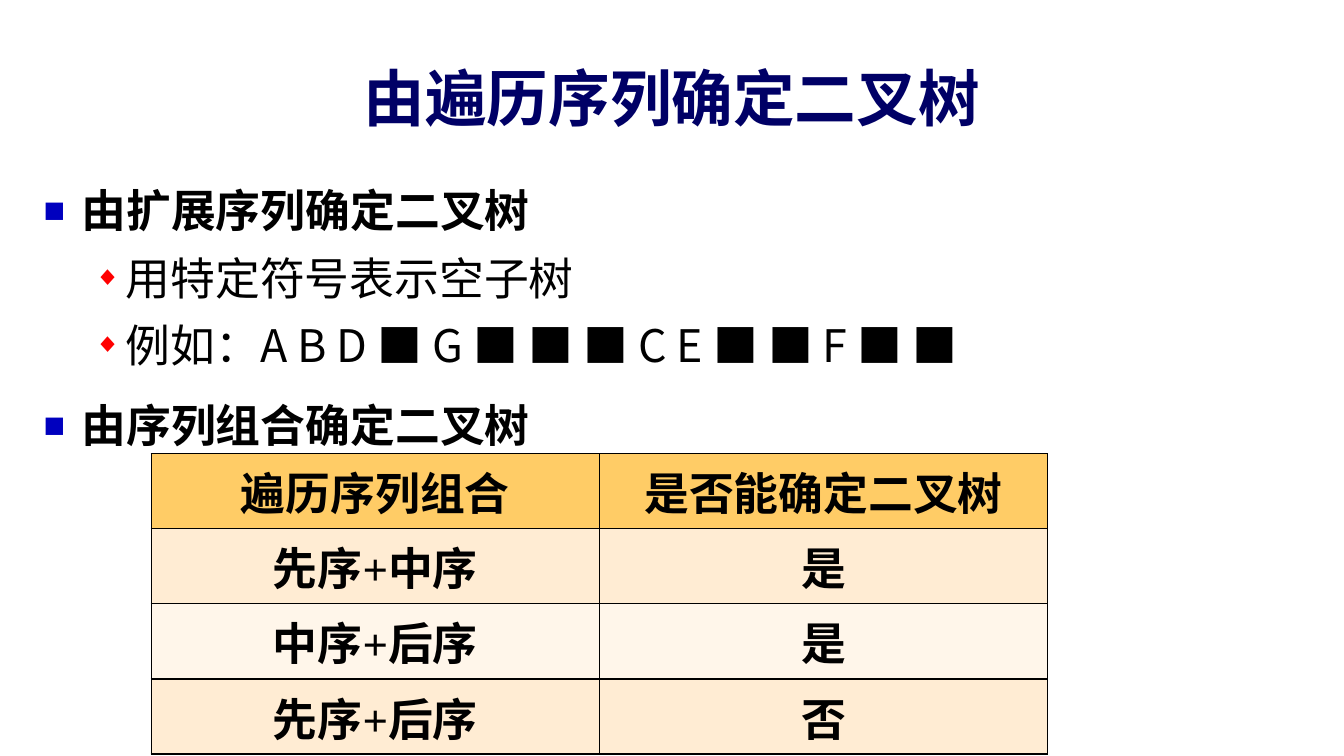
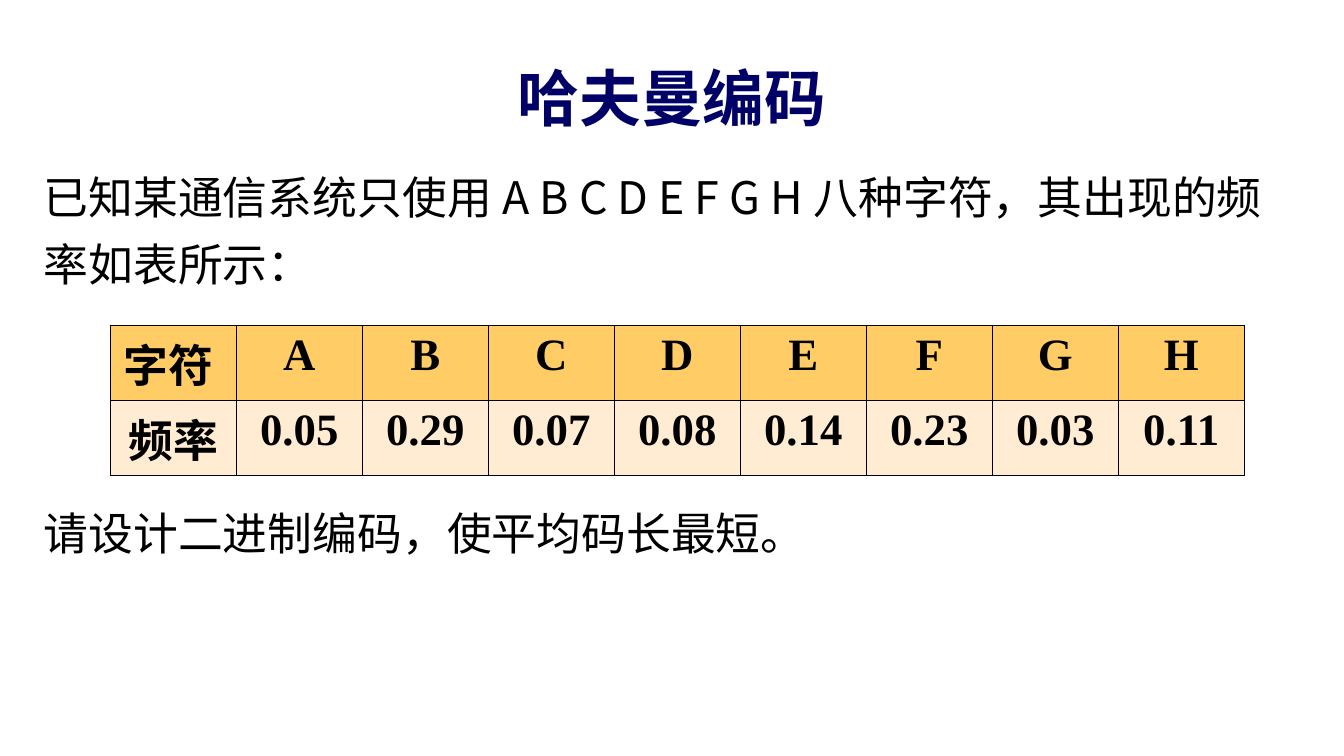
from dataclasses import dataclass

from lxml import etree
from pptx import Presentation
from pptx.dml.color import RGBColor
from pptx.enum.text import MSO_ANCHOR, MSO_AUTO_SIZE, PP_ALIGN
from pptx.oxml.ns import qn
from pptx.util import Emu, Pt

LEFT, MID = PP_ALIGN.LEFT, PP_ALIGN.CENTER
TOP, CORE = MSO_ANCHOR.TOP, MSO_ANCHOR.MIDDLE
FIXED = MSO_AUTO_SIZE.NONE
PX = 9525
SIDES = ("lnL", "lnR", "lnT", "lnB")


@dataclass(frozen=True)
class Theme:
    """Colours, fonts and type sizes of the deck."""
    navy: str = "000066"
    ink: str = "000000"
    head: str = "FFCC66"
    bands: tuple = ("FFECD3", "FFF6EA")
    sans: str = "Noto Sans CJK SC"
    serif: str = "Times New Roman"
    big: int = 44
    text: int = 32
    rule: int = 12700


@dataclass(frozen=True)
class Level:
    """Spacing, indent in px and bullet of one list level."""
    depth: int = 0
    space: float = 1.25
    left: int = 0
    hang: int = 0
    mark: str = ""
    tint: str = ""
    size: int = 100
    bold: bool = False


PLAIN = Level()
MAIN = Level(0, 1.5, 36, 36, "■", "0000BF", 80, True)
SUB = Level(1, 1.25, 78, 30, "◆", "FF0000", 60)


def px(size):
    """Turn px into EMU."""
    return Emu(size * PX)


def put(item, form):
    """Set attributes from a dict of format values."""
    for name, value in form.items():
        setattr(item, name, value)


def node(root, tag, **attrs):
    """Append a drawing element and return it."""
    part = etree.SubElement(root, qn("a:" + tag))
    for name, value in attrs.items():
        part.set(name, str(value))
    return part


class Deck:
    """Style and current slide, with a method for each kind of element."""

    def __init__(self, theme):
        """Start an empty wide deck."""
        self.theme = theme
        self.show = Presentation()
        put(self.show, {"slide_width": px(1280), "slide_height": px(720)})
        self.slide = None

    def letter(self, para, text, size, font, color, bold):
        """Add one formatted run to a paragraph."""
        run = para.add_run()
        run.text = text
        put(run.font, {"size": Pt(size), "bold": bold, "name": font})
        run.font.color.rgb = RGBColor.from_string(color)
        node(run.font._element, "ea", typeface=self.theme.sans)

    def place(self, shape, box, anchor):
        """Move a placeholder and return its text frame."""
        put(shape, dict(zip(("left", "top", "width", "height"), map(px, box))))
        frame = shape.text_frame
        put(frame, {"word_wrap": True, "auto_size": FIXED,
                    "vertical_anchor": anchor})
        return frame

    def page(self, title):
        """Open a slide with its title."""
        look = self.theme
        self.slide = self.show.slides.add_slide(self.show.slide_layouts[1])
        frame = self.place(self.slide.shapes.title, (96, 56, 1088, 72), CORE)
        para = frame.paragraphs[0]
        para.alignment = MID
        self.letter(para, title, look.big, look.sans, look.navy, True)

    def body(self, items):
        """Fill the body from text, level and space before."""
        look = self.theme
        box = (32, 144, 1216, 544)
        frame = self.place(self.slide.placeholders[1], box, TOP)
        for spot, (text, level, gap) in enumerate(items):
            para = frame.add_paragraph() if spot else frame.paragraphs[0]
            put(para, {"level": level.depth, "alignment": LEFT,
                       "line_spacing": level.space, "space_before": Pt(gap)})
            self.mark(para, level)
            self.letter(para, text, look.text, look.sans, look.ink, level.bold)

    def mark(self, para, level):
        """Give a paragraph its indent and bullet."""
        props = para._p.get_or_add_pPr()
        props.set("marL", str(px(level.left)))
        props.set("indent", str(px(-level.hang)))
        if level.mark:
            node(node(props, "buClr"), "srgbClr", val=level.tint)
            node(props, "buSzPct", val=level.size * 1000)
            node(props, "buChar", char=level.mark)
        else:
            node(props, "buNone")

    def table(self, left, top, width, rows):
        """Draw a ruled table with equal columns."""
        look, high, cols = self.theme, 61, len(rows[0])
        frame = self.slide.shapes.add_table(
            len(rows), cols, px(left), px(top),
            px(width * cols), px(high * len(rows)))
        grid = frame.table
        put(grid, {"first_row": False, "horz_banding": False})
        for line, row in enumerate(rows):
            fill = look.bands[(line - 1) % 2] if line else look.head
            for spot, text in enumerate(row):
                self.cell(grid.cell(line, spot), text, fill)

    def cell(self, cell, text, fill):
        """Rule, fill and letter one cell."""
        look = self.theme
        props = cell._tc.get_or_add_tcPr()
        for side in SIDES:
            edge = node(props, side, w=look.rule)
            node(node(edge, "solidFill"), "srgbClr", val=look.ink)
        cell.fill.solid()
        cell.fill.fore_color.rgb = RGBColor.from_string(fill)
        para = cell.text_frame.paragraphs[0]
        para.alignment = MID
        self.letter(para, text, look.text, look.serif, look.ink, True)


def main():
    """Build and save the deck."""
    deck = Deck(Theme())

    deck.page("由遍历序列确定二叉树")
    deck.body([
        ("由扩展序列确定二叉树", MAIN, 0),
        ("用特定符号表示空子树", SUB, 0),
        ("例如：A B D ■ G ■ ■ ■ C E ■ ■ F ■ ■", SUB, 0),
        ("由序列组合确定二叉树", MAIN, 0),
    ])
    deck.table(144, 432, 427, [
        ("遍历序列组合", "是否能确定二叉树"),
        ("先序+中序", "是"),
        ("中序+后序", "是"),
        ("先序+后序", "否"),
    ])

    deck.page("哈夫曼编码")
    deck.body([
        ("已知某通信系统只使用 A B C D E F G H 八种字符，其出现的频率如表所示：",
         PLAIN, 0),
        ("请设计二进制编码，使平均码长最短。", PLAIN, 144),
    ])
    deck.table(105, 310, 120, [
        ("字符 ", *"ABCDEFGH"),
        ("频率", "0.05", "0.29", "0.07", "0.08",
         "0.14", "0.23", "0.03", "0.11"),
    ])

    deck.show.save("out.pptx")


if __name__ == "__main__":
    main()
